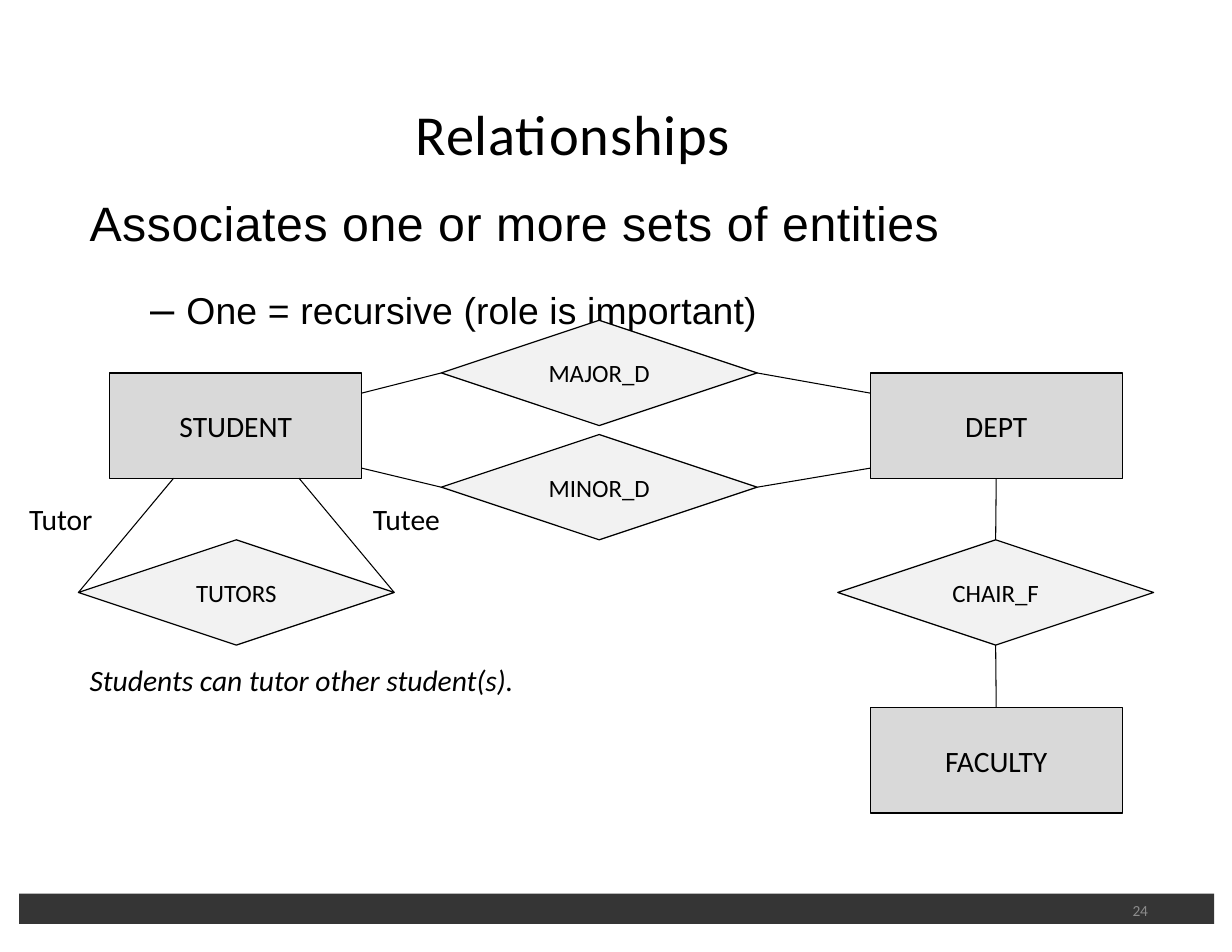
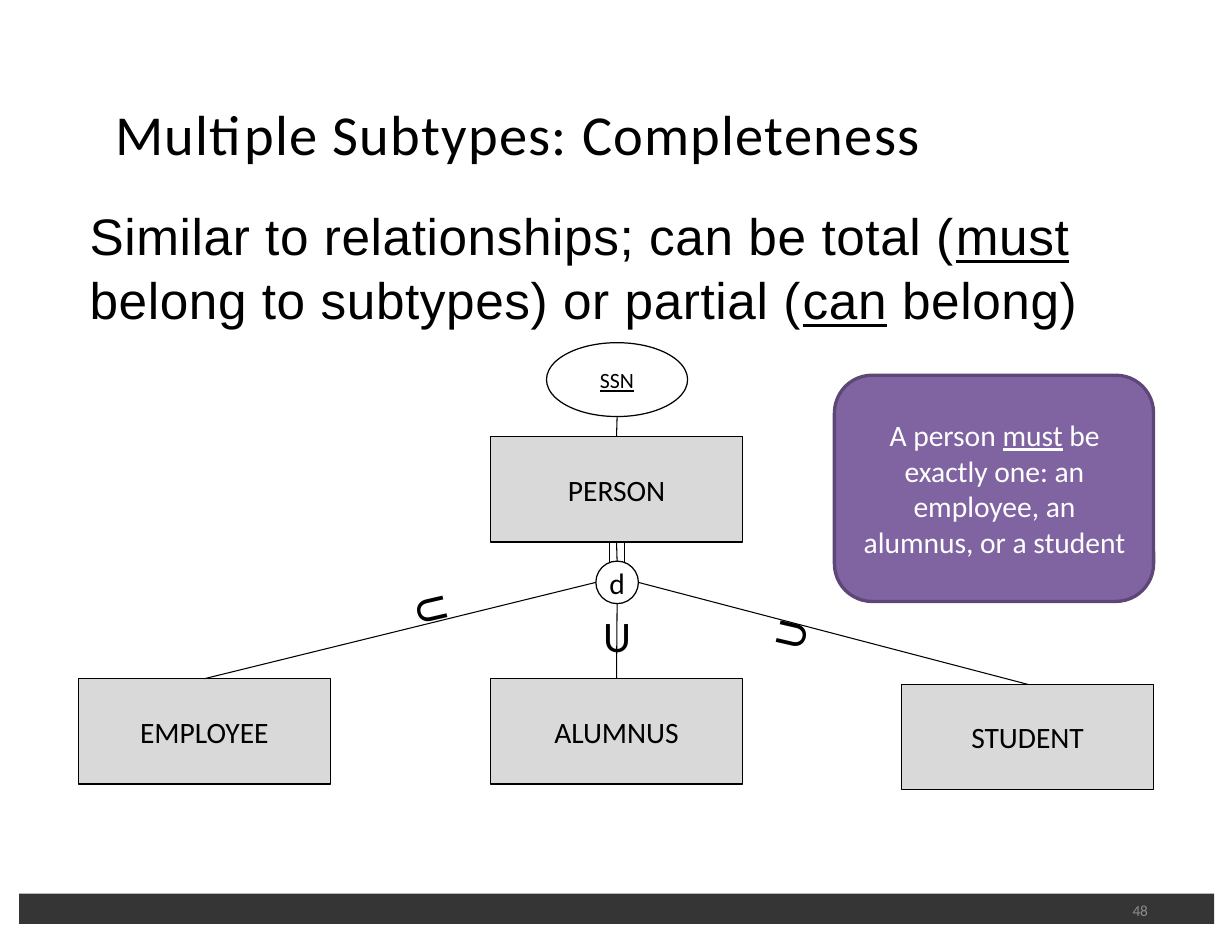
from pptx import Presentation
from pptx.dml.color import RGBColor
from pptx.enum.shapes import MSO_CONNECTOR, MSO_SHAPE
from pptx.enum.text import MSO_ANCHOR, PP_ALIGN
from pptx.oxml.ns import qn
from pptx.util import Inches, Pt

STRAIGHT = MSO_CONNECTOR.STRAIGHT
RECTANGLE, DIAMOND, OVAL = MSO_SHAPE.RECTANGLE, MSO_SHAPE.DIAMOND, MSO_SHAPE.OVAL
ROUNDED = MSO_SHAPE.ROUNDED_RECTANGLE
TOP, MIDDLE = MSO_ANCHOR.TOP, MSO_ANCHOR.MIDDLE
LEFT, CENTER, RIGHT = PP_ALIGN.LEFT, PP_ALIGN.CENTER, PP_ALIGN.RIGHT
# Connection sites of rectangles and diamonds
SITE_TOP, SITE_LEFT, SITE_BOTTOM, SITE_RIGHT = range(4)

BLACK = RGBColor(0x00, 0x00, 0x00)
WHITE = RGBColor(0xFF, 0xFF, 0xFF)
BAND_GRAY = RGBColor(0x35, 0x35, 0x35)
NUMBER_GRAY = RGBColor(0x8C, 0x8C, 0x8C)
ENTITY_GRAY = RGBColor(0xD9, 0xD9, 0xD9)
RELATION_GRAY = RGBColor(0xF2, 0xF2, 0xF2)
PURPLE = RGBColor(0x80, 0x64, 0xA2)
DARK_PURPLE = RGBColor(0x5C, 0x47, 0x76)

# kind: (preset, width, height, fill, text size, underlined)
NODE_KINDS = {
    "entity": (RECTANGLE, 2.25, 0.94, ENTITY_GRAY, 19, False),
    "relation": (DIAMOND, 2.82, 0.94, RELATION_GRAY, 16, False),
    "key": (OVAL, 1.26, 0.66, None, 14, True),
    "disjoint": (OVAL, 0.38, 0.38, WHITE, 19, False),
}

# Nodes are (kind, name, left, top).
# A line end is a point (x, y) or a node's (name, site).
RELATIONSHIPS = {
    "number": "24",
    "title": ("Relationships", 3.7, 3.58, 0.5),
    "nodes": [
        ("entity", "DEPT", 7.77, 3.33),
        ("entity", "STUDENT", 0.98, 3.33),
        ("entity", "FACULTY", 7.77, 6.32),
        ("relation", "CHAIR_F", 7.48, 4.82),
        ("relation", "MAJOR_D", 3.94, 2.86),
        ("relation", "MINOR_D", 3.94, 3.88),
        ("relation", "TUTORS", 0.7, 4.82),
    ],
    "lines": [
        (("CHAIR_F", SITE_TOP), ("DEPT", SITE_BOTTOM)),
        (("FACULTY", SITE_TOP), ("CHAIR_F", SITE_BOTTOM)),
        ((3.23, 3.51), ("MAJOR_D", SITE_LEFT)),
        (("MAJOR_D", SITE_RIGHT), (7.77, 3.51)),
        ((3.23, 4.18), ("MINOR_D", SITE_LEFT)),
        (("MINOR_D", SITE_RIGHT), (7.77, 4.18)),
        (("TUTORS", SITE_LEFT), (1.55, 4.27)),
        (("TUTORS", SITE_RIGHT), (2.67, 4.27)),
    ],
}
COMPLETENESS = {
    "number": "48",
    "title": ("Multiple Subtypes: Completeness", 1.02, 8.95, 0.8),
    "nodes": [
        ("entity", "PERSON", 4.38, 3.9),
        ("key", "SSN", 4.88, 3.06),
        ("entity", "EMPLOYEE", 0.7, 6.06),
        ("entity", "ALUMNUS", 4.38, 6.06),
        ("entity", "STUDENT", 8.05, 6.11),
        ("disjoint", "d", 5.32, 5.01),
    ],
    "lines": [
        (("PERSON", SITE_TOP), (5.51, 3.72)),
        (("PERSON", SITE_BOTTOM), ("d", SITE_TOP)),
        ((5.44, 4.84), (5.44, 5.02)),
        ((5.58, 4.84), (5.58, 5.02)),
        (("EMPLOYEE", SITE_TOP), (5.32, 5.2)),
        (("ALUMNUS", SITE_TOP), (5.51, 5.39)),
        (("STUDENT", SITE_TOP), (5.7, 5.2)),
    ],
}
# text, left, top, width, italic
ROLE_LABELS = [
    ("Tutor", 0.25, 4.45, 0.7, False),
    ("Tutee", 3.32, 4.45, 0.75, False),
    ("Students can tutor other student(s).", 0.79, 5.88, 4.2, True),
]
# centre x, centre y, rotation
SUBSET_MARKS = [(3.88, 5.44, 77), (5.51, 5.67, 0), (7.04, 5.66, 283)]

ASSOCIATES = "Associates one or more sets of entities"
RECURSIVE = "One = recursive (role is important)"
# text, underlined
TOTAL_OR_PARTIAL = [
    ("Similar to relationships; can be total (", False),
    ("must ", True),
    ("belong to subtypes) or partial (", False),
    ("can", True),
    (" belong)", False),
]
PERSON_RULE = [
    ("A person ", False),
    ("must", True),
    (" be exactly one: an employee, an alumnus, or a student", False),
]


def add_span(para, text, size, font="Calibri", color=BLACK, spacing=0,
             underline=False, italic=False):
    span = para.add_run()
    span.text = text
    span.font.name = font
    span.font.size = Pt(size)
    span.font.color.rgb = color
    if underline:
        span.font.underline = True
    if italic:
        span.font.italic = True
    if spacing:
        span.font._element.set("spc", str(round(spacing * 100)))


def first_para(shape, align=CENTER, anchor=MIDDLE, margins=(0, 0, 0, 0), wrap=True):
    """Set up the text frame of a shape and return its first paragraph."""
    frame = shape.text_frame
    frame.word_wrap = wrap
    frame.vertical_anchor = anchor
    (frame.margin_left, frame.margin_top,
     frame.margin_right, frame.margin_bottom) = map(Inches, margins)
    para = frame.paragraphs[0]
    para.alignment = align
    return para


def add_box(page, left, top, width, height):
    return page.shapes.add_textbox(*map(Inches, (left, top, width, height)))


def add_figure(page, preset, left, top, width, height, fill, line=None, weight=0.8):
    shape = page.shapes.add_shape(preset, *map(Inches, (left, top, width, height)))
    shape.shadow.inherit = False
    if fill is None:
        shape.fill.background()
    else:
        shape.fill.solid()
        shape.fill.fore_color.rgb = fill
    if line is None:
        shape.line.fill.background()
    else:
        shape.line.color.rgb = line
        shape.line.width = Pt(weight)
    return shape


def add_node(page, kind, name, left, top):
    preset, width, height, fill, size, underline = NODE_KINDS[kind]
    shape = add_figure(page, preset, left, top, width, height, fill, BLACK)
    add_span(first_para(shape, wrap=False), name, size, underline=underline)
    return shape


def add_line(page, nodes, start, end):
    connector = page.shapes.add_connector(STRAIGHT, 0, 0, 0, 0)
    if start[0] in nodes:
        connector.begin_connect(nodes[start[0]], start[1])
    else:
        connector.begin_x, connector.begin_y = map(Inches, start)
    if end[0] in nodes:
        connector.end_connect(nodes[end[0]], end[1])
    else:
        connector.end_x, connector.end_y = map(Inches, end)
    connector.line.color.rgb = BLACK
    connector.line.width = Pt(0.67)
    properties = connector._element.spPr
    properties.append(properties.makeelement(qn("a:effectLst"), {}))


def add_page(deck, content):
    """Add a page with its band, number and title."""
    page = deck.slides.add_slide(deck.slide_layouts[6])
    add_figure(page, RECTANGLE, 0.17, 7.98, 10.67, 0.27, BAND_GRAY)
    number = add_box(page, 7.77, 7.9, 2.48, 0.45)
    add_span(first_para(number, RIGHT), content["number"], 9.9, color=NUMBER_GRAY)
    text, left, width, spacing = content["title"]
    title = add_box(page, left, 0.83, width, 0.72)
    para = first_para(title, LEFT, margins=(0.01, 0, 0, 0))
    add_span(para, text, 36.3, spacing=spacing)
    return page


def add_diagram(page, content):
    nodes = {node[1]: add_node(page, *node) for node in content["nodes"]}
    for start, end in content["lines"]:
        add_line(page, nodes, start, end)


def build_relationships(deck):
    page = add_page(deck, RELATIONSHIPS)
    body = add_box(page, 0.79, 1.65, 8.5, 1.3)
    para = first_para(body, LEFT, TOP, (0.01, 0.08, 0, 0))
    para.space_before = Pt(6)
    add_span(para, ASSOCIATES, 31, "Arial", spacing=0.4)
    para = body.text_frame.add_paragraph()
    para.space_before = Pt(19)
    para._p.get_or_add_pPr().set("marL", str(Inches(0.54)))
    add_span(para, "– ", 28, "Arial")
    add_span(para, RECURSIVE, 24, "Arial", spacing=0.1)
    add_diagram(page, RELATIONSHIPS)
    for text, left, top, width, italic in ROLE_LABELS:
        label = add_box(page, left, top, width, 0.35)
        para = first_para(label, LEFT, margins=(0.01, 0.02, 0, 0))
        add_span(para, text, 19, italic=italic)


def build_completeness(deck):
    page = add_page(deck, COMPLETENESS)
    body = add_box(page, 0.79, 1.78, 8.94, 1.25)
    para = first_para(body, LEFT, TOP, (0.01, 0.02, 0, 0))
    para.line_spacing = Pt(41.3)
    para.space_before = Pt(1.3)
    for text, underline in TOTAL_OR_PARTIAL:
        add_span(para, text, 33, "Arial", spacing=0.4, underline=underline)
    add_diagram(page, COMPLETENESS)
    for x, y, rotation in SUBSET_MARKS:
        mark = add_box(page, x - 0.23, y - 0.2, 0.46, 0.4)
        mark.rotation = rotation
        add_span(first_para(mark), "U", 28)
    rule = add_figure(page, ROUNDED, 7.45, 3.35, 2.85, 2.02, PURPLE, DARK_PURPLE, 2.13)
    # The preset already insets its text a little at the rounded corners
    para = first_para(rule, margins=(0.13, 0, 0.12, 0))
    for text, underline in PERSON_RULE:
        add_span(para, text, 19, color=WHITE, underline=underline)


def main():
    deck = Presentation()
    deck.slide_width, deck.slide_height = Inches(11), Inches(8.5)
    build_relationships(deck)
    build_completeness(deck)
    deck.save("out.pptx")


if __name__ == "__main__":
    main()
